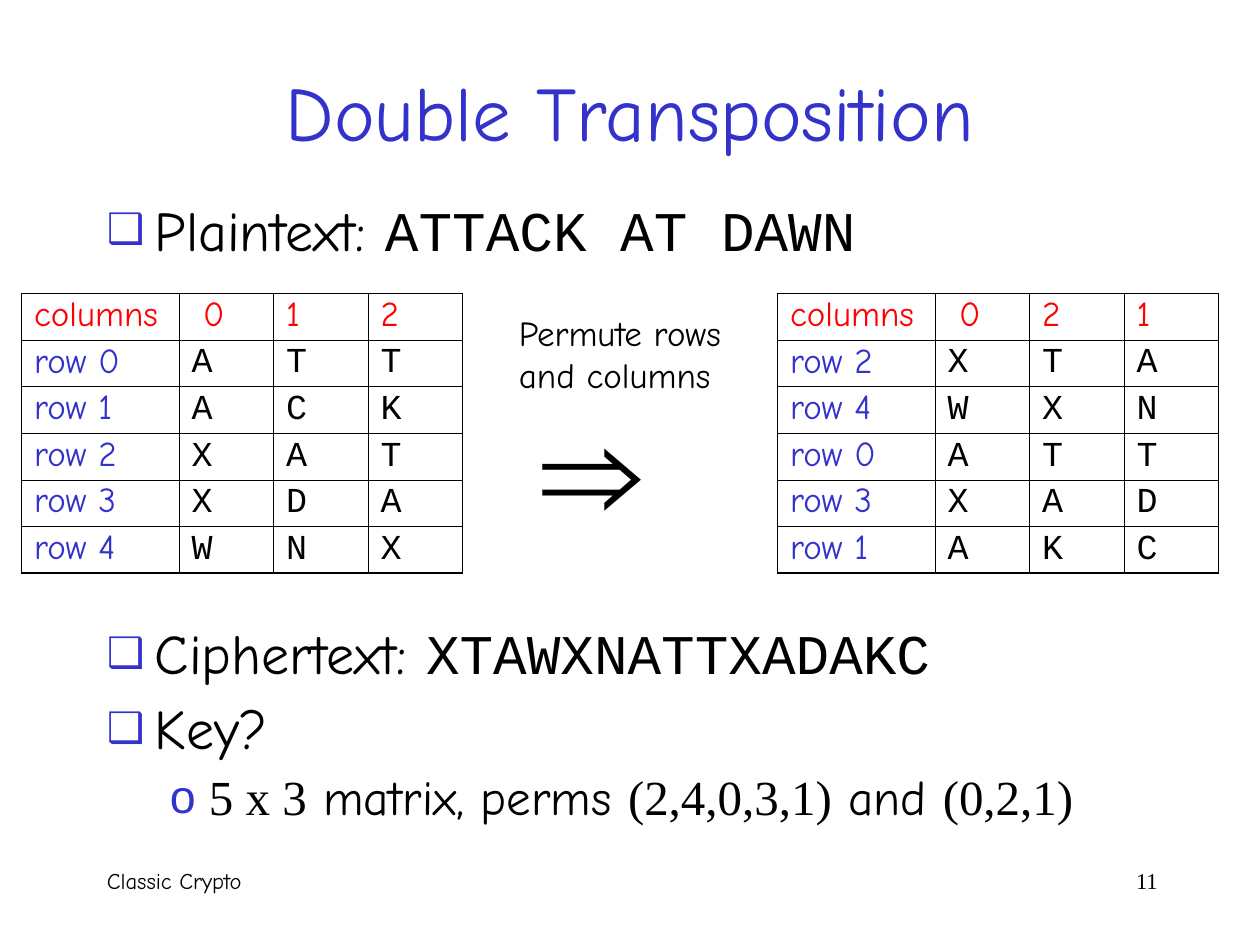
from lxml import etree
from pptx import Presentation, util as u
from pptx.dml.color import RGBColor
from pptx.enum import text as t
from pptx.oxml.ns import qn

INK = {"text": "000000", "blue": "3333CC", "red": "FF0000"}
COMIC, MONO, SERIF, SANS = "Comic Neue", "Courier New", "Times New Roman", "Arial"

TITLE = [[("Double Transposition", COMIC)]]
PLAIN = [[("Plaintext: ", COMIC), ("ATTACK AT DAWN", MONO)]]
CIPHER = [
    [("Ciphertext: ", COMIC), ("XTAWXNATTXADAKC", MONO)],
    [("Key?", COMIC)],
    [("5 x 3", SERIF), (" matrix, perms ", COMIC), ("(2,4,0,3,1)", SERIF),
     (" and ", COMIC), ("(0,2,1)", SERIF)],
]
NOTE = [[("Permute rows", COMIC)], [("and columns", COMIC)]]
ARROW = [[("⇒", SANS)]]
FOOTER = [[("Classic Crypto\t", COMIC), ("11", SERIF)]]

MATRIX = ["ATT", "ACK", "XAT", "XDA", "WNX"]
GRIDS = [
    (0.17, ["columns", " 0", "1", "2"], list(enumerate(MATRIX))),
    (6.17, ["columns", " 0", "2", "1"],
     [(2, "XTA"), (4, "WXN"), (0, "ATT"), (3, "XAD"), (1, "AKC")]),
]
TOP, WIDTHS, HEIGHT = 2.33, [1.25, 0.75, 0.75, 0.75], 0.37
THIN, THICK = 0.45, 1.08

MAIN = dict(size=32, mark="❑", scale=75, left=0.38, hang=0.38, before=8)
SUB = dict(size=28, mark="o", scale=95, left=0.81, hang=0.31, before=7)


def add(node, tag, **attrs):
    return etree.SubElement(node, qn("a:" + tag), attrs)


def bullet(para, look):
    props = para._p.get_or_add_pPr()
    props.set("marL", str(u.Inches(look["left"])))
    props.set("indent", str(-u.Inches(look["hang"])))
    add(add(props, "buClr"), "srgbClr", val=INK["blue"])
    add(props, "buSzPct", val=str(look["scale"] * 1000))
    add(props, "buFont", typeface=SANS)
    add(props, "buChar", char=look["mark"])


def write(frame, paras, size=20, color="text", align=None, line=None,
          looks=(), tab=None):
    for i, runs in enumerate(paras):
        para = frame.paragraphs[0] if i == 0 else frame.add_paragraph()
        look = looks[i] if looks else {"size": size}
        if looks:
            bullet(para, look)
            para.level = int(look is SUB)
            if i:
                para.space_before = u.Pt(look["before"])
        if tab:
            stops = add(para._p.get_or_add_pPr(), "tabLst")
            add(stops, "tab", pos=str(u.Inches(tab)), algn="r")
        if align:
            para.alignment = align
        if line:
            para.line_spacing = line
        for words, face in runs:
            run = para.add_run()
            run.text = words
            run.font.name = face
            run.font.size = u.Pt(look["size"])
            run.font.color.rgb = RGBColor.from_string(INK[color])


def box(slide, place, paras, wrap=True, anchor=t.MSO_ANCHOR.TOP, **form):
    frame = slide.shapes.add_textbox(*map(u.Inches, place)).text_frame
    frame.word_wrap = wrap
    frame.vertical_anchor = anchor
    write(frame, paras, **form)


def border(cell, side, width):
    edge = add(cell._tc.get_or_add_tcPr(), "ln" + side, w=str(u.Pt(width)))
    add(add(edge, "solidFill"), "srgbClr", val=INK["text"])


def grid(slide, left, head, body):
    rows = [head] + [[f"row {n}", *letters] for n, letters in body]
    last, end = len(rows) - 1, len(WIDTHS) - 1
    table = slide.shapes.add_table(
        len(rows), len(WIDTHS), u.Inches(left), u.Inches(TOP),
        u.Inches(sum(WIDTHS)), u.Inches(HEIGHT * len(rows))).table
    table.first_row = table.horz_banding = False
    for col, width in zip(table.columns, WIDTHS):
        col.width = u.Inches(width)
    for r, row in enumerate(rows):
        table.rows[r].height = u.Inches(HEIGHT)
        for c, words in enumerate(row):
            cell = table.cell(r, c)
            outer = {"L": c == 0, "R": c == end, "T": r == 0, "B": r == last}
            for side, edge in outer.items():
                border(cell, side, THICK if edge else THIN)
            cell.fill.background()
            cell.vertical_anchor = t.MSO_ANCHOR.MIDDLE
            cell.margin_left = cell.margin_right = u.Inches(0.1)
            cell.margin_top = cell.margin_bottom = u.Inches(0.05)
            color = "red" if r == 0 else "blue" if c == 0 else "text"
            face = MONO if color == "text" else COMIC
            write(cell.text_frame, [[(words, face)]], color=color, line=0.8)


def main():
    deck = Presentation()
    deck.slide_width, deck.slide_height = u.Inches(10), u.Inches(7.5)
    slide = deck.slides.add_slide(deck.slide_layouts[6])
    box(slide, (0.75, 6.83, 8.58, 0.5), FOOTER, size=12.9, tab=8.34)
    box(slide, (0.75, 0.25, 8.5, 1.25), TITLE, size=44, color="blue",
        align=t.PP_ALIGN.CENTER, anchor=t.MSO_ANCHOR.MIDDLE)
    box(slide, (0.75, 1.5, 8.5, 0.75), PLAIN, looks=[MAIN])
    box(slide, (4.02, 2.42, 1.83, 0.77), NOTE, wrap=False)
    box(slide, (4.2, 2.98, 1.3, 1.44), ARROW, size=80)
    box(slide, (0.75, 4.92, 8.58, 1.92), CIPHER, line=0.9,
        looks=[MAIN, MAIN, SUB])
    for left, head, body in GRIDS:
        grid(slide, left, head, body)
    deck.save("out.pptx")


if __name__ == "__main__":
    main()
